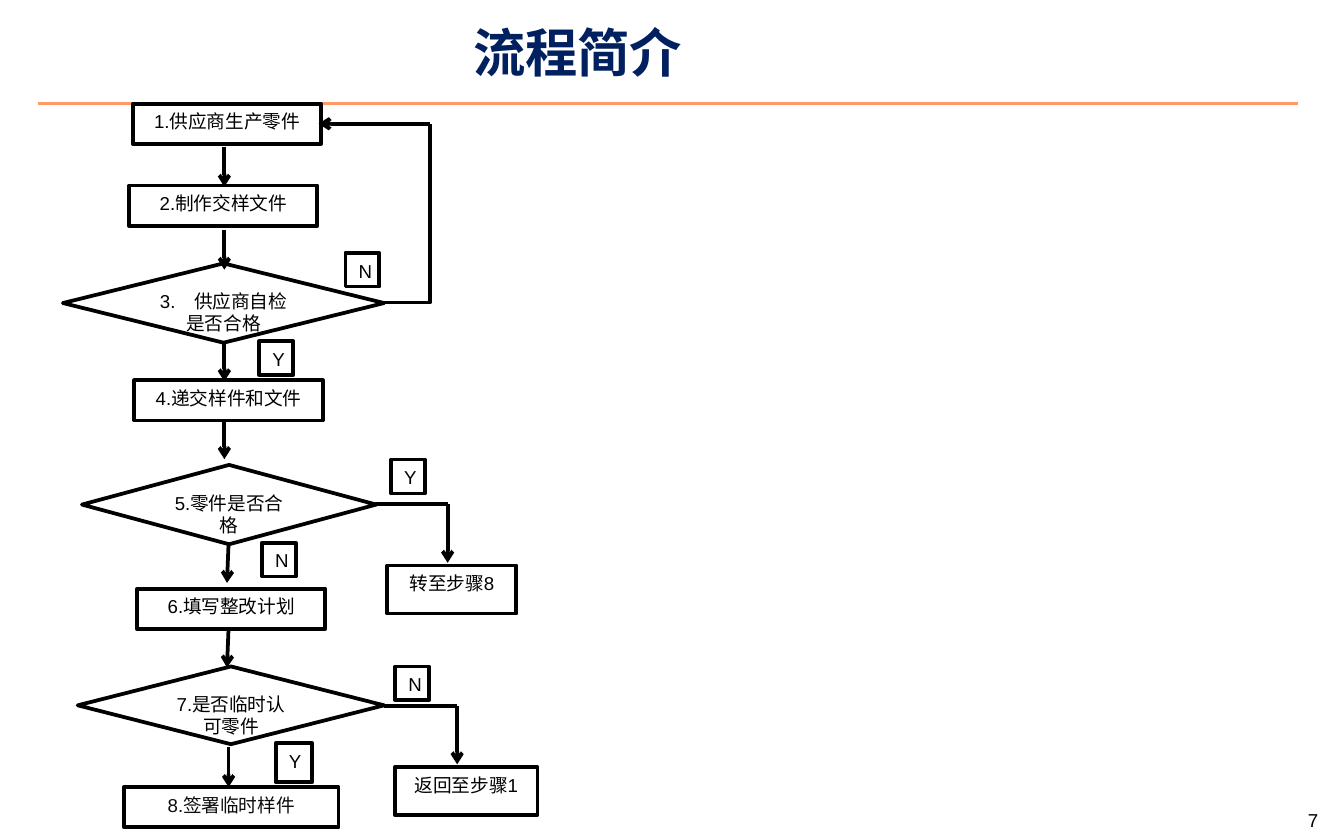
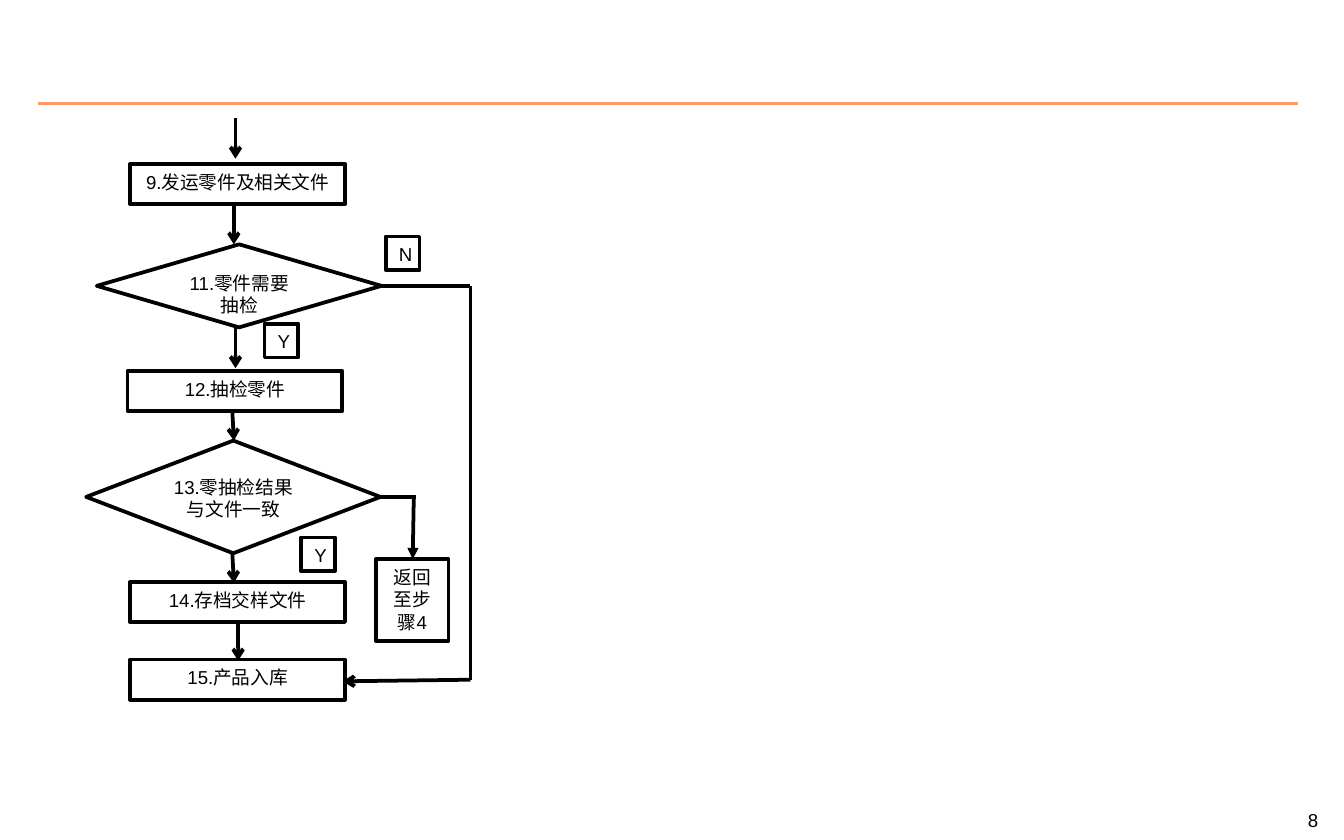
import itertools
from dataclasses import dataclass

import lxml.etree
import pptx
import pptx.dml.color
import pptx.enum.shapes
import pptx.enum.text
import pptx.oxml.ns
import pptx.util

Cm = pptx.util.Cm
Pt = pptx.util.Pt
MSO_SHAPE = pptx.enum.shapes.MSO_SHAPE
MSO_CONNECTOR = pptx.enum.shapes.MSO_CONNECTOR
PP_ALIGN = pptx.enum.text.PP_ALIGN
MSO_ANCHOR = pptx.enum.text.MSO_ANCHOR
MSO_AUTO_SIZE = pptx.enum.text.MSO_AUTO_SIZE
qn = pptx.oxml.ns.qn


@dataclass(frozen=True)
class Theme:
    font: str = "Arial"
    title_size: int = 28
    body_size: int = 10
    title: str = "002060"
    ink: str = "000000"
    soft_ink: str = "0D0D0D"
    paper: str = "FFFFFF"
    rule: str = "FF9966"
    flow_width: float = 2
    rule_width: float = 1.75


THEME = Theme()

STEP = (3.56, 0.76)
WIDE_STEP = (4.06, 0.76)
ANSWER = (0.64, 0.64)

SLIDES = [
    {
        "number": 7,
        "title": "流程简介",
        "boxes": [
            ("step", "1.供应商生产零件", (2.51, 1.96), STEP),
            ("step", "2.制作交样文件", (2.44, 3.51), STEP),
            ("filled decision", "3.　供应商自检是否合格", (1.19, 4.98), (6.07, 1.5)),
            ("step", "4.递交样件和文件", (2.54, 7.19), STEP),
            ("decision", "5.零件是否合格", (1.55, 8.79), (5.56, 1.5)),
            ("step", "6.填写整改计划", (2.59, 11.13), STEP),
            ("decision", "7.是否临时认可零件", (1.47, 12.6), (5.79, 1.47)),
            ("soft step", "8.签署临时样件", (2.34, 14.88), WIDE_STEP),
            ("step", "转至步骤8", (7.32, 10.69), (2.44, 0.91)),
            ("step", "返回至步骤1", (7.47, 14.5), (2.69, 0.91)),
        ],
        "routes": [
            ("arrow", [(4.24, 2.77), (4.24, 3.53)]),
            ("arrow", [(4.24, 4.34), (4.24, 5.1)]),
            ("arrow", [(4.24, 6.45), (4.24, 7.21)]),
            ("arrow", [(4.24, 7.92), (4.24, 8.68)]),
            ("arrow", [(4.32, 10.26), (4.29, 11.02)]),
            ("arrow", [(4.32, 11.86), (4.29, 12.62)]),
            ("arrow", [(4.32, 14.12), (4.32, 14.88)]),
            ("elbow", [(7.26, 5.72), (8.13, 2.34)]),
            ("arrow", [(8.13, 2.34), (6.02, 2.34)]),
            ("arrow", [(7.09, 9.53), (8.46, 9.53), (8.46, 10.64)]),
            ("arrow", [(7.26, 13.34), (8.64, 13.34), (8.64, 14.45)]),
        ],
        "answers": [
            ("step", "N", (6.53, 4.78), ANSWER),
            ("step", "Y", (4.9, 6.45), ANSWER),
            ("step", "Y", (7.39, 8.69), ANSWER),
            ("step", "N", (4.95, 10.26), ANSWER),
            ("step", "N", (7.47, 12.6), ANSWER),
            ("step", "Y", (5.21, 14.05), (0.69, 0.74)),
        ],
    },
    {
        "number": 8,
        "title": None,
        "boxes": [
            ("step", "9.发运零件及相关文件", (2.46, 3.1), WIDE_STEP),
            ("decision", "11.零件需要抽检", (1.83, 4.62), (5.38, 1.57)),
            ("step", "12.抽检零件", (2.41, 7.01), WIDE_STEP),
            ("decision", "13.零抽检结果与文件一致", (1.63, 8.33), (5.56, 2.13)),
            ("step", "14.存档交样文件", (2.46, 11), WIDE_STEP),
            ("step", "15.产品入库", (2.46, 12.47), WIDE_STEP),
            ("step", "返回至步骤4", (7.11, 10.57), (1.37, 1.55)),
        ],
        "routes": [
            ("arrow", [(4.45, 2.24), (4.45, 3)]),
            ("arrow", [(4.42, 3.86), (4.42, 4.62)]),
            ("arrow", [(4.45, 6.2), (4.45, 6.96)]),
            ("arrow", [(4.39, 7.77), (4.42, 8.33)]),
            ("arrow", [(4.39, 10.44), (4.42, 11.02)]),
            ("arrow", [(4.5, 11.73), (4.5, 12.49)]),
            ("arrow", [(7.19, 5.41), (8.89, 5.41), (8.89, 12.85), (6.48, 12.88)]),
            ("line", [(7.19, 9.4), (7.87, 9.4)]),
            ("triangle", [(7.82, 9.42), (7.8, 10.57)]),
        ],
        "answers": [
            ("step", "N", (7.29, 4.47), ANSWER),
            ("step", "Y", (5, 6.12), ANSWER),
            ("step", "Y", (5.69, 10.16), ANSWER),
        ],
    },
]

BOX_STYLES = {
    "step": (MSO_SHAPE.RECTANGLE, THEME.paper, THEME.ink),
    "soft step": (MSO_SHAPE.RECTANGLE, THEME.paper, THEME.soft_ink),
    "decision": (MSO_SHAPE.DIAMOND, None, THEME.ink),
    "filled decision": (MSO_SHAPE.DIAMOND, THEME.paper, THEME.ink),
}


def color(value):
    return pptx.dml.color.RGBColor.from_string(value)


def set_values(target, values):
    for name, value in values.items():
        setattr(target, name, value)


def place(shape, position, size):
    names = ("left", "top", "width", "height")
    set_values(shape, dict(zip(names, map(Cm, position + size))))


def write(shape, text, size, ink, bold=False, align=PP_ALIGN.CENTER,
          anchor=MSO_ANCHOR.TOP, wrap=True):
    frame = shape.text_frame
    set_values(frame, {"text": text, "auto_size": MSO_AUTO_SIZE.NONE,
                       "word_wrap": wrap, "vertical_anchor": anchor})
    paragraph = frame.paragraphs[0]
    paragraph.alignment = align
    font = paragraph.runs[0].font
    set_values(font, {"name": THEME.font, "size": Pt(size), "bold": bold})
    font.color.rgb = color(ink)


def draw_line(line, ink, width):
    line.color.rgb = color(ink)
    line.width = Pt(width)


def add_box(slide, style, text, position, size):
    geometry, fill, ink = BOX_STYLES[style]
    shape = slide.shapes.add_shape(geometry, *map(Cm, position + size))
    shape.shadow.inherit = False
    if fill:
        shape.fill.solid()
        shape.fill.fore_color.rgb = color(fill)
    else:
        shape.fill.background()
    draw_line(shape.line, THEME.ink, THEME.flow_width)
    write(shape, text, THEME.body_size, ink)


def add_line(slide, start, end, ink=THEME.ink, width=THEME.flow_width,
             kind=MSO_CONNECTOR.STRAIGHT):
    connector = slide.shapes.add_connector(kind, *map(Cm, start + end))
    draw_line(connector.line, ink, width)
    lxml.etree.SubElement(connector.element.spPr, qn("a:effectLst"))
    return connector


def add_route(slide, kind, points):
    if kind == "elbow":
        elbow = add_line(slide, *points, kind=MSO_CONNECTOR.ELBOW)
        elbow.element.spPr.find(qn("a:prstGeom")).set("prst", "bentConnector2")
        return
    for start, end in itertools.pairwise(points):
        connector = add_line(slide, start, end)
    if kind != "line":
        outline = connector.element.spPr.find(qn("a:ln"))
        lxml.etree.SubElement(outline, qn("a:tailEnd"), type=kind)


def add_frame(slide, number, title):
    add_line(slide, (0.71, 1.96), (24.54, 1.96), THEME.rule, THEME.rule_width)
    page = slide.shapes.add_textbox(Cm(24.18), Cm(15.16), Cm(1.27), Cm(0.69))
    write(page, str(number), THEME.body_size, THEME.ink)
    if title:
        heading = slide.shapes.title
        place(heading, (8.69, 0.25), (4.52, 1.45))
        write(heading, title, THEME.title_size, THEME.title, bold=True,
              align=PP_ALIGN.LEFT, anchor=MSO_ANCHOR.MIDDLE, wrap=False)


def main():
    presentation = pptx.Presentation()
    set_values(presentation, {"slide_width": Cm(25.4), "slide_height": Cm(15.88)})
    for content in SLIDES:
        layout = presentation.slide_layouts[5 if content["title"] else 6]
        slide = presentation.slides.add_slide(layout)
        add_frame(slide, content["number"], content["title"])
        for box in content["boxes"]:
            add_box(slide, *box)
        for route in content["routes"]:
            add_route(slide, *route)
        for answer in content["answers"]:
            add_box(slide, *answer)
    presentation.save("out.pptx")


if __name__ == "__main__":
    main()
